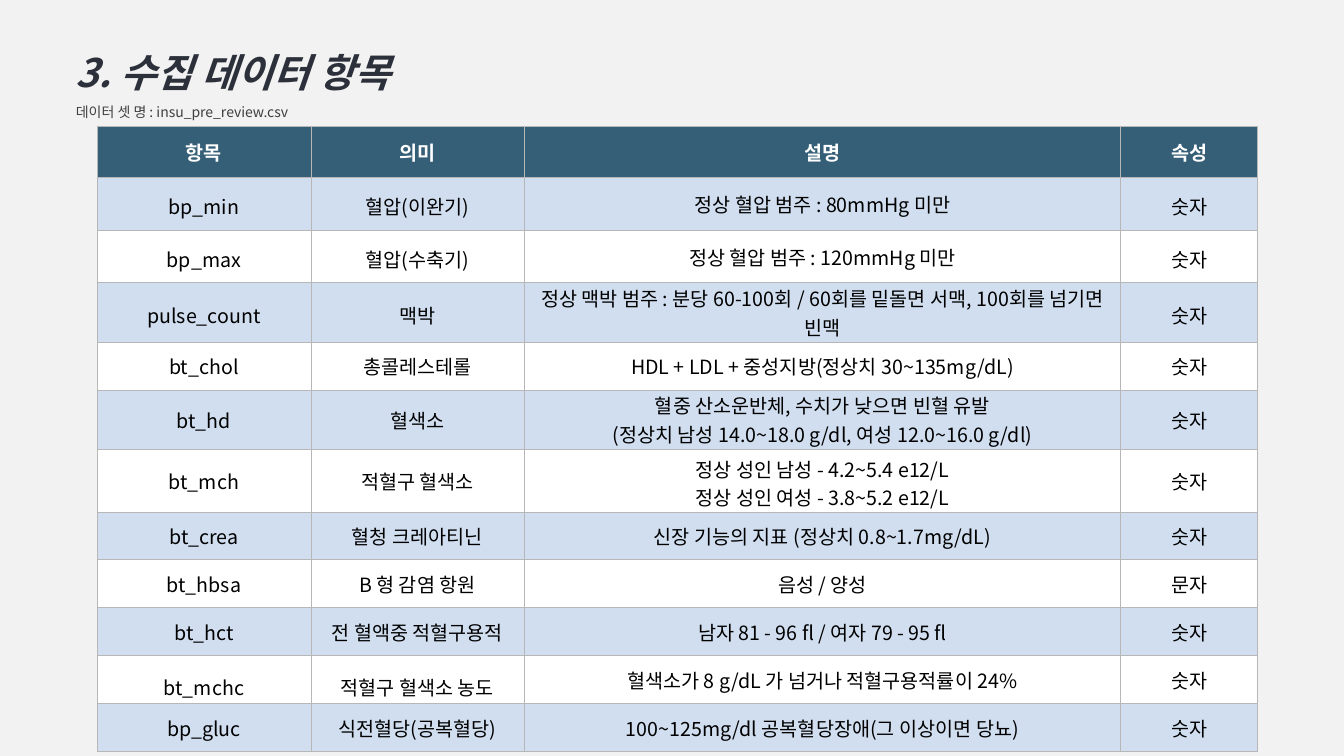
"""Build the slide listing the collected health data fields."""
from lxml.etree import SubElement
from pptx import Presentation
from pptx.dml.color import RGBColor
from pptx.enum.text import MSO_ANCHOR as Anchor, PP_ALIGN as Align
from pptx.oxml.ns import qn
from pptx.util import Pt

FONT = "Noto Sans CJK KR"
HEADING = [
    ("3. 수집 데이터 항목", 28, "2C303A", True),
    ("데이터 셋 명 : insu_pre_review.csv", 10, "3F3F3F", False),
]
FIELDS = [
    ("항목", "의미", "설명", "속성"),
    ("bp_min", "혈압(이완기)", "정상 혈압 범주 : 80mmHg 미만", "숫자"),
    ("bp_max", "혈압(수축기)", "정상 혈압 범주 : 120mmHg 미만", "숫자"),
    ("pulse_count", "맥박",
     "정상 맥박 범주 : 분당 60-100회 / 60회를 밑돌면 서맥, 100회를 넘기면 빈맥", "숫자"),
    ("bt_chol", "총콜레스테롤", "HDL + LDL + 중성지방(정상치 30~135mg/dL)", "숫자"),
    ("bt_hd", "혈색소",
     "혈중 산소운반체, 수치가 낮으면 빈혈 유발\n(정상치 남성 14.0~18.0 g/dl, 여성 12.0~16.0 g/dl)", "숫자"),
    ("bt_mch", "적혈구 혈색소",
     "정상 성인 남성 - 4.2~5.4 e12/L\n정상 성인 여성 - 3.8~5.2 e12/L", "숫자"),
    ("bt_crea", "혈청 크레아티닌", "신장 기능의 지표 (정상치 0.8~1.7mg/dL)", "숫자"),
    ("bt_hbsa", "B 형 감염 항원", "음성 / 양성", "문자"),
    ("bt_hct", "전 혈액중 적혈구용적", "남자 81 - 96 fl / 여자 79 - 95 fl", "숫자"),
    ("bt_mchc", "적혈구 혈색소 농도", "혈색소가 8 g/dL 가 넘거나 적혈구용적률이 24%", "숫자"),
    ("bp_gluc", "식전혈당(공복혈당)", "100~125mg/dl 공복혈당장애(그 이상이면 당뇨)", "숫자"),
]
COLUMN_WIDTHS = [214, 213, 597, 137]
ROW_HEIGHTS = [51, 53, 53, 59, 48, 59, 63, 47, 48, 48, 48, 48]
ROOMY = {"bp_min", "bp_max", "pulse_count"}
LOW = "bt_mchc"
TALL = "bt_mch"


def px(length):
    return round(length * 914400 / 100.8)


def color(code):
    return RGBColor.from_string(code)


def add_run(paragraph, words, size, ink, bold, italic=False):
    run = paragraph.add_run()
    run.text = words
    font = run.font
    font.name, font.size, font.bold, font.italic = FONT, Pt(size), bold, italic
    font.color.rgb = color(ink)
    SubElement(font._element, qn("a:ea"), typeface=FONT)


def paint_cell(cell, fill):
    borders = cell._tc.get_or_add_tcPr()
    for side in ("lnL", "lnR", "lnT", "lnB"):
        border = SubElement(borders, qn(f"a:{side}"), w=str(Pt(0.75)))
        SubElement(SubElement(border, qn("a:solidFill")), qn("a:srgbClr"), val="B7B7B7")
    cell.fill.solid()
    cell.fill.fore_color.rgb = color(fill)


def set_insets(cell, across, down):
    cell.margin_left = cell.margin_right = px(across)
    cell.margin_top = cell.margin_bottom = px(down)


def add_fields(slide):
    table = slide.shapes.add_table(
        len(FIELDS), len(COLUMN_WIDTHS), px(97), px(126),
        px(sum(COLUMN_WIDTHS)), px(sum(ROW_HEIGHTS))).table
    for column, width in zip(table.columns, COLUMN_WIDTHS):
        column.width = px(width)
    for row, height in zip(table.rows, ROW_HEIGHTS):
        row.height = px(height)
    for r, field in enumerate(FIELDS):
        header = r == 0
        fill = "355F77" if header else "D0DEEF" if r % 2 else "FFFFFF"
        for c, entry in enumerate(field):
            cell = table.cell(r, c)
            paint_cell(cell, fill)
            roomy = field[0] in ROOMY and c != 2
            low = field[0] == LOW and c < 2
            cell.vertical_anchor = Anchor.BOTTOM if low else Anchor.MIDDLE
            set_insets(cell, *((10, 10) if roomy else (3, 2) if low else (1, 1)))
            for n, line in enumerate(entry.split("\n")):
                frame = cell.text_frame
                paragraph = frame.add_paragraph() if n else frame.paragraphs[0]
                paragraph.alignment = Align.CENTER
                if roomy or low or (field[0] == TALL and c == 2 and n == 0):
                    paragraph.line_spacing = 1.15
                add_run(paragraph, line, 14, "FFFFFF" if header else "000000", header)


def add_heading(slide):
    frame = slide.shapes.add_textbox(px(66), px(20), px(672), px(107)).text_frame
    frame.word_wrap = True
    for n, (words, size, ink, strong) in enumerate(HEADING):
        paragraph = frame.add_paragraph() if n else frame.paragraphs[0]
        paragraph.line_spacing = 1.5
        add_run(paragraph, words, size, ink, strong, strong)


def main():
    deck = Presentation()
    deck.slide_width, deck.slide_height = px(1344), px(756)
    slide = deck.slides.add_slide(deck.slide_layouts[6])
    slide.background.fill.solid()
    slide.background.fill.fore_color.rgb = color("F2F2F2")
    add_fields(slide)
    add_heading(slide)
    deck.save("out.pptx")


if __name__ == "__main__":
    main()
